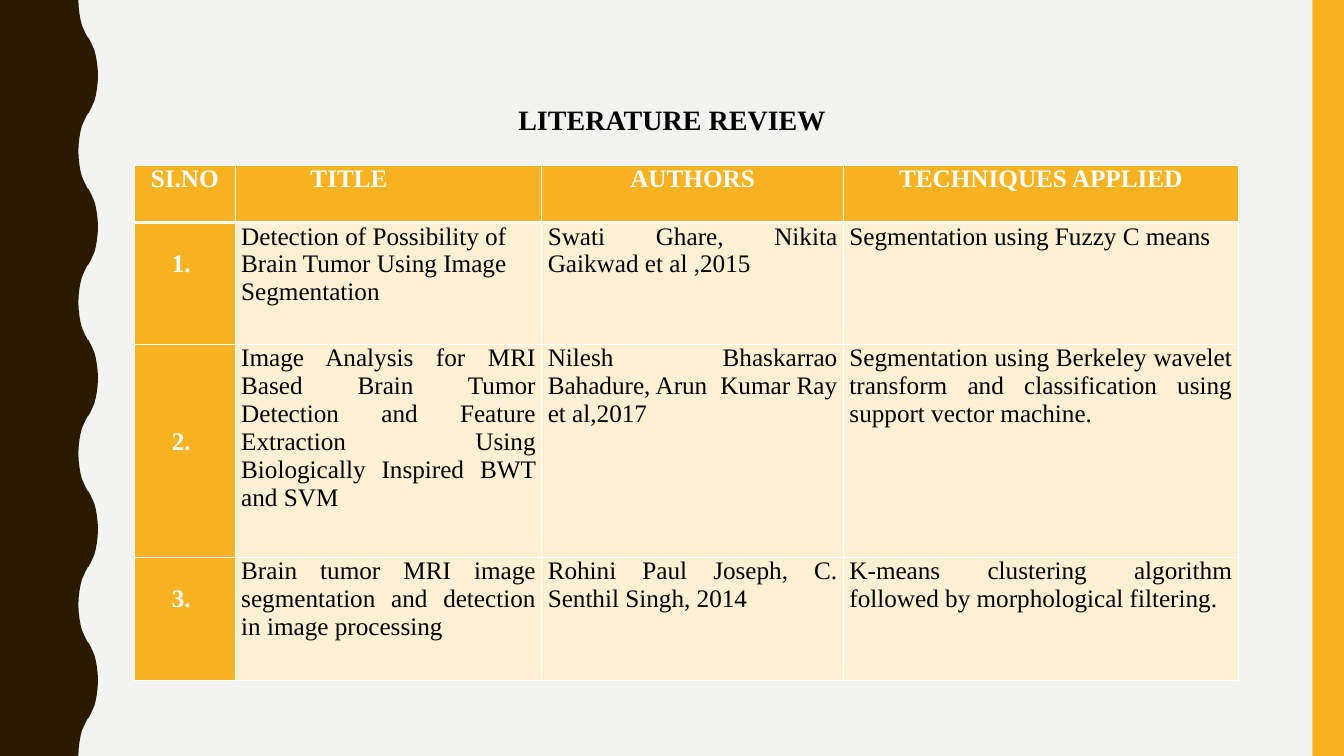
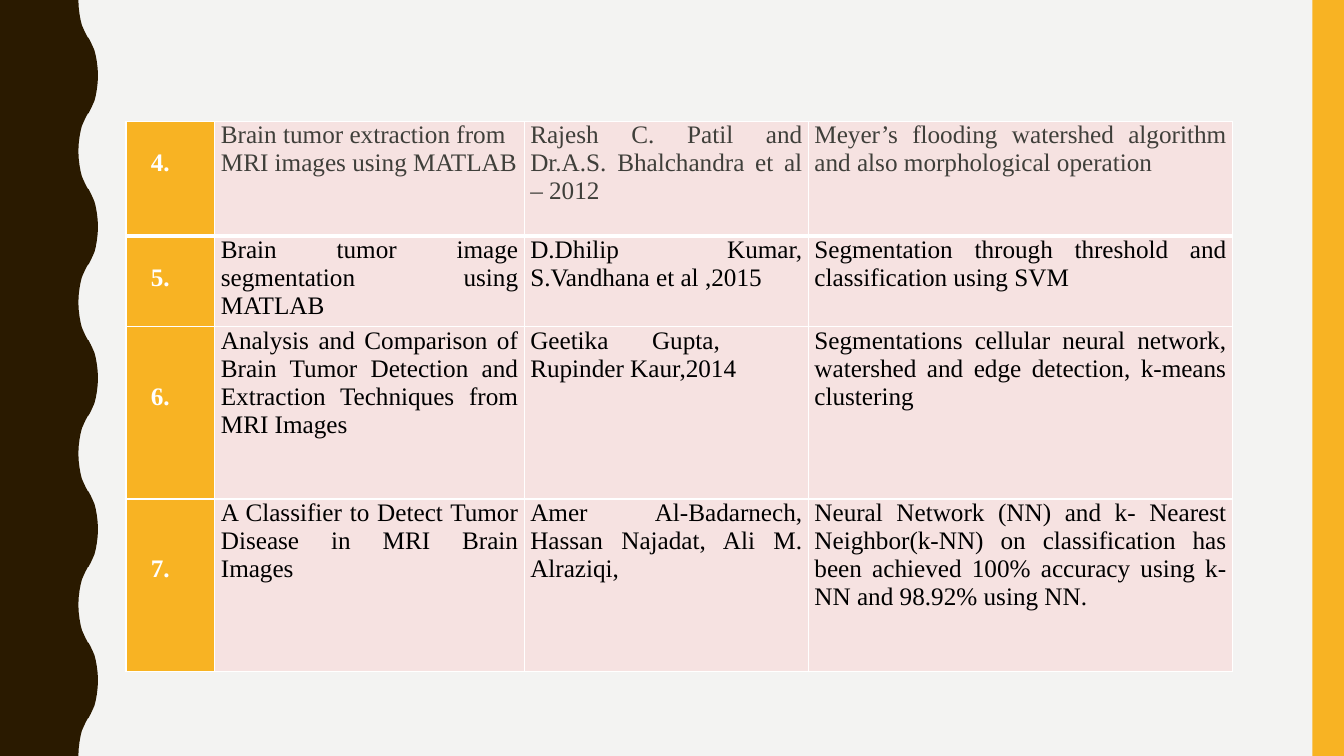
from lxml import etree
from pptx import Presentation
from pptx import util as u
from pptx.dml.color import RGBColor
from pptx.enum import shapes, text
from pptx.oxml.ns import qn

Pt = u.Pt
AL = text.PP_ALIGN
FONT = "Times New Roman"
WHITE, BLACK, GREY = "FFFFFF", "000000", "3F3F3A"
PAPER, BROWN, AMBER = "F3F3F2", "2A1A00", "F8B323"
CREAM, ROSE = "FEF0D3", "F6E2E1"
LINE_HEIGHT, INSET = 19.93, 4.3
QUARTER_WAVE = [(56, 0), (56.2, 5), (56.8, 10), (57.6, 14.4),
                (58.5, 18), (59.8, 21), (61.2, 24), (62.8, 27)]


def rgb(code):
    return RGBColor.from_string(code)


class Deck:
    """Holds the style and the current slide, and draws each kind of element."""

    def __init__(self):
        self.prs = Presentation()
        self.prs.slide_width, self.prs.slide_height = Pt(960), Pt(540)

    def slide(self):
        self.s = self.prs.slides.add_slide(self.prs.slide_layouts[6])
        fill = self.s.background.fill
        fill.solid()
        fill.fore_color.rgb = rgb(PAPER)
        self.wave_band()
        self.paint(self.s.shapes.add_shape(
            shapes.MSO_SHAPE.RECTANGLE, Pt(937.5), 0, Pt(22.5), Pt(540)), AMBER)

    def paint(self, sp, color):
        sp.shadow.inherit = False
        sp.fill.solid()
        sp.fill.fore_color.rgb = rgb(color)
        sp.line.fill.background()

    def wave_band(self):
        rise = QUARTER_WAVE + [(126 - x, 54 - y) for x, y in QUARTER_WAVE[::-1]]
        period = rise + [(x, 108 - y) for x, y in rise[::-1]]
        edge = [(x, y + 108 * i) for i in range(5) for x, y in period]
        outline = self.s.shapes.build_freeform(0, 0, scale=1.0)
        outline.add_line_segments(
            [(Pt(x), Pt(y)) for x, y in edge + [(0, 540)]], close=True)
        self.paint(outline.convert_to_shape(), BROWN)

    def add_words(self, tf, words, size=18, color=BLACK, bold=False, align=AL.JUSTIFY, tab=None):
        p = tf.paragraphs[0]
        p.alignment = align
        if tab:
            tabs = etree.SubElement(p._p.get_or_add_pPr(), qn("a:tabLst"))
            etree.SubElement(tabs, qn("a:tab"), pos=str(Pt(tab)), algn="l")
        r = p.add_run()
        r.text = words
        for name, value in dict(name=FONT, size=Pt(size), bold=bold).items():
            setattr(r.font, name, value)
        r.font.color.rgb = rgb(color)

    def heading(self, words, left, top, width, height):
        tf = self.s.shapes.add_textbox(Pt(left), Pt(top), Pt(width), Pt(height)).text_frame
        tf.word_wrap = False
        tf.auto_size = text.MSO_AUTO_SIZE.SHAPE_TO_FIT_TEXT
        self.add_words(tf, words, size=20, bold=True, align=AL.CENTER)

    def table(self, left, top, widths, heights):
        frame = self.s.shapes.add_table(
            len(heights), len(widths), Pt(left), Pt(top), Pt(sum(widths)), Pt(sum(heights)))
        self.tbl = frame.table
        self.tbl.first_row = self.tbl.horz_banding = False
        for column, width in zip(self.tbl.columns, widths):
            column.width = Pt(width)
        for row, height in zip(self.tbl.rows, heights):
            row.height = Pt(height)

    def cell(self, row, col, words, fill, indent=0, lines_down=0, **fmt):
        c = self.tbl.cell(row, col)
        margins = dict(margin_left=INSET + indent, margin_right=INSET,
                       margin_top=lines_down * LINE_HEIGHT, margin_bottom=0)
        for name, value in margins.items():
            setattr(c, name, Pt(value))
        borders = dict(lnL=1, lnR=1, lnT=3 if row == 1 else 1, lnB=3 if row == 0 else 1)
        for tag, width in borders.items():
            ln = etree.SubElement(c._tc.get_or_add_tcPr(), qn("a:" + tag), w=str(Pt(width)))
            solid = etree.SubElement(ln, qn("a:solidFill"))
            etree.SubElement(solid, qn("a:srgbClr"), val=WHITE)
        c.fill.solid()
        c.fill.fore_color.rgb = rgb(fill)
        self.add_words(c.text_frame, words, **fmt)

    def header_row(self, entries):
        for col, (words, fmt) in enumerate(entries):
            self.cell(0, col, words, AMBER, color=WHITE, bold=True, **fmt)

    def paper_row(self, row, number, lines_down, indent, fill, entries, color=BLACK):
        self.cell(row, 0, number, AMBER, indent, lines_down, color=WHITE, bold=True)
        for col, entry in enumerate(entries, 1):
            words, fmt = entry if isinstance(entry, tuple) else (entry, {})
            self.cell(row, col, words, fill, color=color, **fmt)


LEFT, CENTER = dict(align=AL.LEFT), dict(align=AL.CENTER)
HEADER = [("SI.NO", CENTER), ("TITLE", dict(indent=49.5)),
          ("AUTHORS", CENTER), ("TECHNIQUES APPLIED", CENTER)]
FIRST_PAPERS = [
    ("1.", 1, [("Detection of Possibility of Brain Tumor Using Image Segmentation", LEFT),
               "Swati Ghare, Nikita Gaikwad et al ,2015",
               "Segmentation using Fuzzy C means"]),
    ("2.", 3, ["Image Analysis for MRI Based Brain Tumor Detection and Feature Extraction "
               "Using Biologically Inspired BWT and SVM",
               "Nilesh Bhaskarrao Bahadure, Arun  Kumar Ray et al,2017",
               "Segmentation using Berkeley wavelet transform and classification using "
               "support vector machine."]),
    ("3.", 1, ["Brain tumor MRI image segmentation and detection in image processing",
               "Rohini Paul Joseph, C. Senthil Singh, 2014",
               "K-means clustering algorithm followed by morphological filtering."]),
]
MORE_PAPERS = [
    ("4.", 1, [("Brain tumor extraction from MRI images using MATLAB", LEFT),
               "Rajesh C. Patil and Dr.A.S. Bhalchandra et al – 2012",
               "Meyer’s flooding watershed algorithm and also morphological operation"]),
    ("5.", 1, ["Brain tumor image segmentation using MATLAB",
               "D.Dhilip Kumar, S.Vandhana et al ,2015",
               "Segmentation through threshold and classification using SVM"]),
    ("6.", 2, ["Analysis and Comparison of Brain Tumor Detection and Extraction Techniques "
               "from MRI Images",
               ("Geetika\tGupta, Rupinder Kaur,2014", dict(align=AL.LEFT, tab=87)),
               "Segmentations cellular neural network, watershed and edge detection, "
               "k-means clustering"]),
    ("7.", 2, ["A Classifier to Detect Tumor Disease in MRI Brain Images",
               "Amer Al-Badarnech, Hassan Najadat, Ali M. Alraziqi,",
               "Neural Network (NN) and k- Nearest Neighbor(k-NN) on classification has been "
               "achieved 100% accuracy using k-NN and 98.92% using NN."]),
]


def main():
    deck = Deck()

    deck.slide()
    deck.table(96, 118, [72, 219, 215.5, 282], [41, 87, 152, 88])
    deck.header_row(HEADER)
    for row, (number, lines_down, entries) in enumerate(FIRST_PAPERS, 1):
        deck.paper_row(row, number, lines_down, 22.5, CREAM, entries)
    deck.heading("LITERATURE REVIEW", 362, 70, 236, 32)

    deck.slide()
    deck.table(90, 86.5, [63.5, 221, 203, 303], [82, 65, 123, 123])
    for row, (number, lines_down, entries) in enumerate(MORE_PAPERS):
        deck.paper_row(row, number, lines_down, 13.5, ROSE, entries, BLACK if row else GREY)

    deck.prs.save("out.pptx")


if __name__ == "__main__":
    main()
